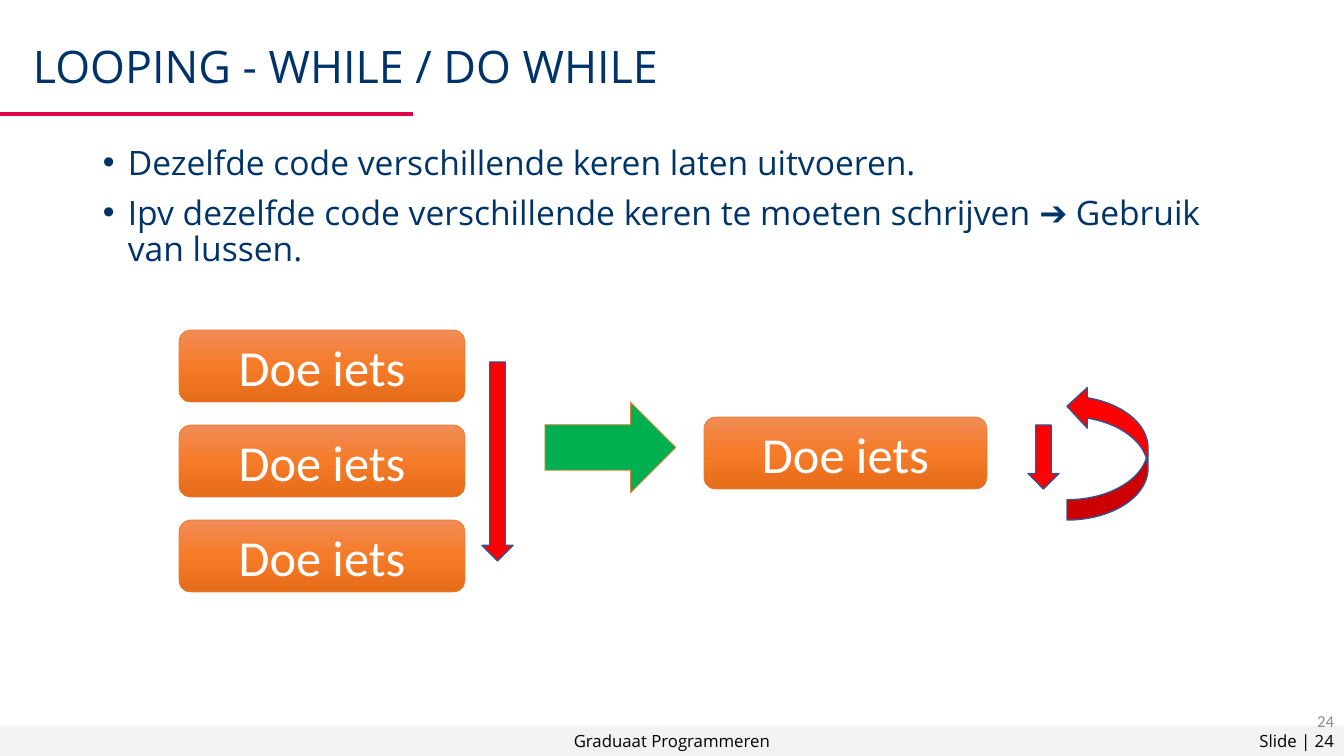
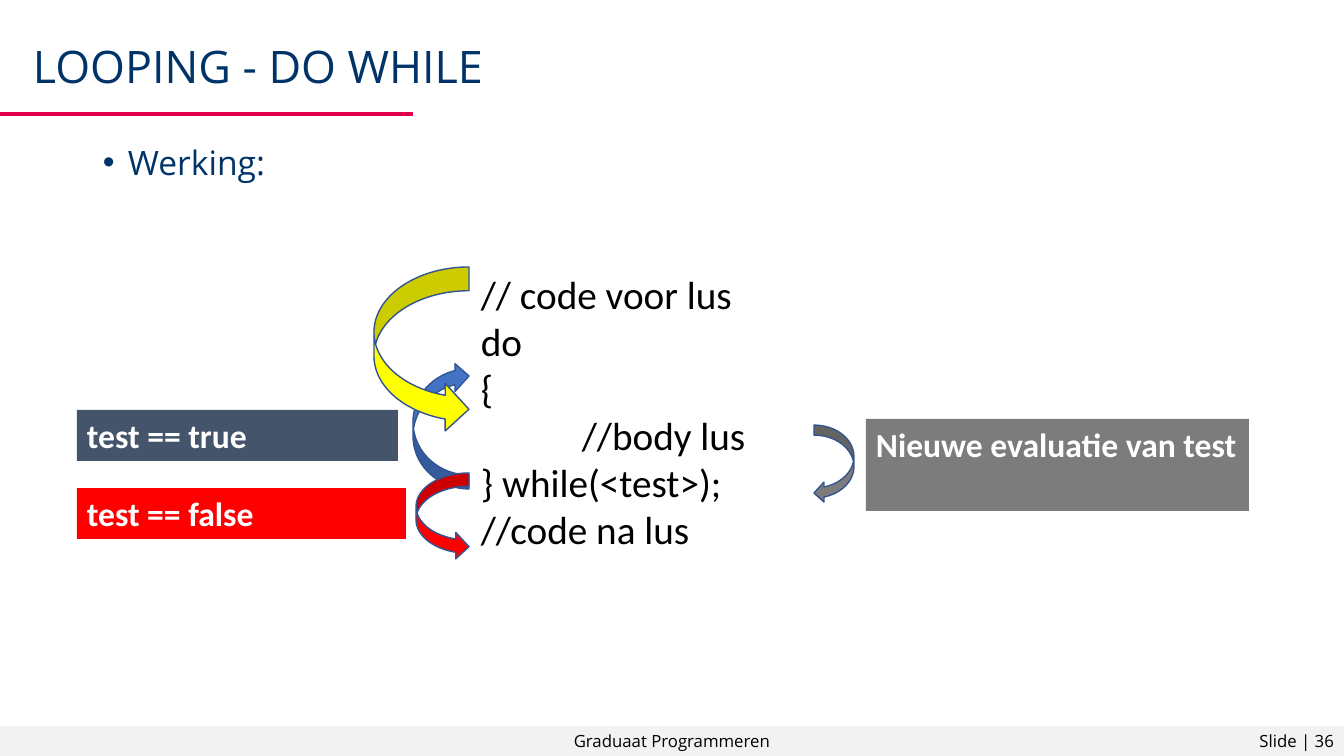
import copy
from dataclasses import dataclass

import pptx
import pptx.dml.color
import pptx.enum.shapes
import pptx.enum.text
import pptx.oxml.ns
import pptx.util
from lxml import etree

SHAPE = pptx.enum.shapes.MSO_SHAPE
ALIGN = pptx.enum.text.PP_ALIGN
ANCHOR = pptx.enum.text.MSO_ANCHOR
qn = pptx.oxml.ns.qn


@dataclass(frozen=True)
class Theme:
    heading_font: str = "Open Sans"
    plain_font: str = "Calibri"
    navy: str = "003469"
    pink: str = "E00049"
    band: str = "F2F2F2"
    black: str = "000000"
    white: str = "FFFFFF"
    muted: str = "8C8C8C"
    red: str = "FF0000"
    green: str = "00B050"
    yellow: str = "FFFF00"
    blue: str = "4472C4"
    slate: str = "44546A"
    gray: str = "7C7C7C"
    outline: str = "325491"
    orange: str = "ED7D31"
    orange_stops: tuple = ((0, "F18C57"), (0.5, "F67B28"), (1, "E56C19"))
    title_size: int = 32
    body_size: int = 24
    code_size: int = 28
    step_size: int = 36
    small_size: int = 12


def px(length):
    return pptx.util.Emu(round(length * 914400 / 100.8))


def rgb(value):
    return pptx.dml.color.RGBColor.from_string(value)


class Painter:
    WIDTH, HEIGHT = 1344, 756

    def __init__(self, theme):
        self.theme = theme
        self.deck = pptx.Presentation()
        self.deck.slide_width = px(self.WIDTH)
        self.deck.slide_height = px(self.HEIGHT)
        self.page = None

    def start_page(self, title, number):
        """Add a page with its title, pink rule and footer band."""
        theme = self.theme
        self.page = self.deck.slides.add_slide(self.deck.slide_layouts[6])
        footer = self.shape(SHAPE.RECTANGLE, (0, 726, self.WIDTH, 30), theme.band)
        small = dict(size=theme.small_size, font=theme.heading_font)
        self.set_lines(footer, ["Graduaat Programmeren"], align=ALIGN.CENTER, **small)
        self.text((1042, 726, 302, 30), [f"Slide | {number}"], align=ALIGN.RIGHT, **small)
        self.rule(0, 114, 413)
        self.text((23, 40, 1228, 75), [title], size=theme.title_size, color=theme.navy,
                  font=theme.heading_font, spacing=0.9)

    def rule(self, left, top, right):
        line = self.page.shapes.add_connector(
            pptx.enum.shapes.MSO_CONNECTOR.STRAIGHT, px(left), px(top), px(right), px(top))
        line.line.color.rgb = rgb(self.theme.pink)
        line.line.width = pptx.util.Pt(3)
        etree.SubElement(line._element.spPr, qn("a:effectLst"))

    def set_lines(self, box, lines, size, color=None, font=None, bold=False,
                  align=ALIGN.LEFT, anchor=ANCHOR.TOP, spacing=None):
        frame = box.text_frame
        frame.word_wrap = True
        frame.vertical_anchor = anchor
        for index, line in enumerate(lines):
            para = frame.paragraphs[0] if index == 0 else frame.add_paragraph()
            para.alignment = align
            if spacing:
                para.line_spacing = spacing
            span = para.add_run()
            span.text = line
            span.font.size = pptx.util.Pt(size)
            span.font.name = font or self.theme.plain_font
            span.font.bold = bold
            span.font.color.rgb = rgb(color or self.theme.black)
        return frame.paragraphs

    def text(self, area, lines, **style):
        box = self.page.shapes.add_textbox(*map(px, area))
        return self.set_lines(box, lines, **style)

    def bullets(self, lines):
        theme = self.theme
        paras = self.text((93, 141, 1159, 545), lines, size=theme.body_size,
                          color=theme.navy, font=theme.heading_font, spacing=0.9)
        for para in paras:
            para.space_before = pptx.util.Pt(10)
            self.indent(para, 25, -25)
            props = para._p.get_or_add_pPr()
            etree.SubElement(props, qn("a:buFont")).set("typeface", "Arial")
            etree.SubElement(props, qn("a:buChar")).set("char", "•")

    def indent(self, para, left, first=0):
        props = para._p.get_or_add_pPr()
        props.set("marL", str(px(left)))
        props.set("indent", str(px(first)))

    def shape(self, kind, area, fill, outline=None, weight=1):
        item = self.page.shapes.add_shape(kind, *map(px, area))
        item.shadow.inherit = False
        item.fill.solid()
        item.fill.fore_color.rgb = rgb(fill)
        if outline:
            item.line.color.rgb = rgb(outline)
            item.line.width = pptx.util.Pt(weight)
        else:
            item.line.fill.background()
        return item

    def arrow(self, kind, area, fill, rotation=0, flipped=False):
        item = self.shape(kind, area, fill, self.theme.outline)
        item.rotation = rotation
        if flipped:
            item._element.spPr.find(qn("a:xfrm")).set("flipV", "1")

    def step(self, area):
        """Rounded orange box standing for one statement."""
        theme = self.theme
        item = self.shape(SHAPE.ROUNDED_RECTANGLE, area, theme.orange, theme.orange, 0.5)
        item.fill.gradient()
        item.fill.gradient_angle = 270
        stop_list = item._element.spPr.find(".//" + qn("a:gsLst"))
        stop_list.append(copy.deepcopy(stop_list[0]))
        for stop, (position, color) in zip(item.fill.gradient_stops, theme.orange_stops):
            stop.position = position
            stop.color.rgb = rgb(color)
        self.set_lines(item, ["Doe iets"], size=theme.step_size, color=theme.white,
                       align=ALIGN.CENTER, anchor=ANCHOR.MIDDLE)

    def label(self, area, words, fill):
        item = self.shape(SHAPE.RECTANGLE, area, fill)
        self.set_lines(item, [words], size=self.theme.body_size,
                       color=self.theme.white, bold=True)


theme = Theme()
painter = Painter(theme)

# Why loops: three repeated steps become one
painter.start_page("LOOPING - WHILE / DO WHILE", 24)
painter.bullets([
    "Dezelfde code verschillende keren laten uitvoeren.",
    "Ipv dezelfde code verschillende keren te moeten schrijven ➔ Gebruik van lussen.",
])
painter.text((1109, 701, 235, 40), ["24"], size=theme.small_size, color=theme.muted,
             align=ALIGN.RIGHT, anchor=ANCHOR.MIDDLE)
for row in range(3):
    painter.step((179, 330 + 95 * row, 286, 72))
painter.shape(SHAPE.RIGHT_ARROW, (545, 402, 131, 91), theme.green, theme.orange, 0.5)
painter.step((704, 417, 283, 72))
painter.arrow(SHAPE.CURVED_RIGHT_ARROW, (1067, 386, 81, 134), theme.red, rotation=180)
painter.arrow(SHAPE.DOWN_ARROW, (482, 362, 31, 199), theme.red)
painter.arrow(SHAPE.DOWN_ARROW, (1028, 425, 31, 64), theme.red)

# How do while runs
painter.start_page("LOOPING - DO WHILE", 36)
painter.bullets(["Werking:"])
painter.label((77, 410, 321, 51), "test == true", theme.slate)
painter.label((77, 488, 329, 51), "test == false", theme.red)
painter.label((866, 419, 383, 92), "Nieuwe evaluatie van test", theme.gray)
for area, fill, rotation, flipped in (
    ((413, 362, 56, 127), theme.blue, 0, True),
    ((814, 425, 40, 78), theme.gray, 180, True),
    ((416, 473, 53, 87), theme.red, 0, False),
    ((374, 267, 95, 166), theme.yellow, 0, False),
):
    painter.arrow(SHAPE.CURVED_RIGHT_ARROW, area, fill, rotation, flipped)
code = painter.text((471, 265, 351, 295), [
    "// code voor lus", "do", "{", "//body lus", "} while(<test>);", "//code na lus",
], size=theme.code_size)
painter.indent(code[3], 101)

painter.deck.save("out.pptx")
